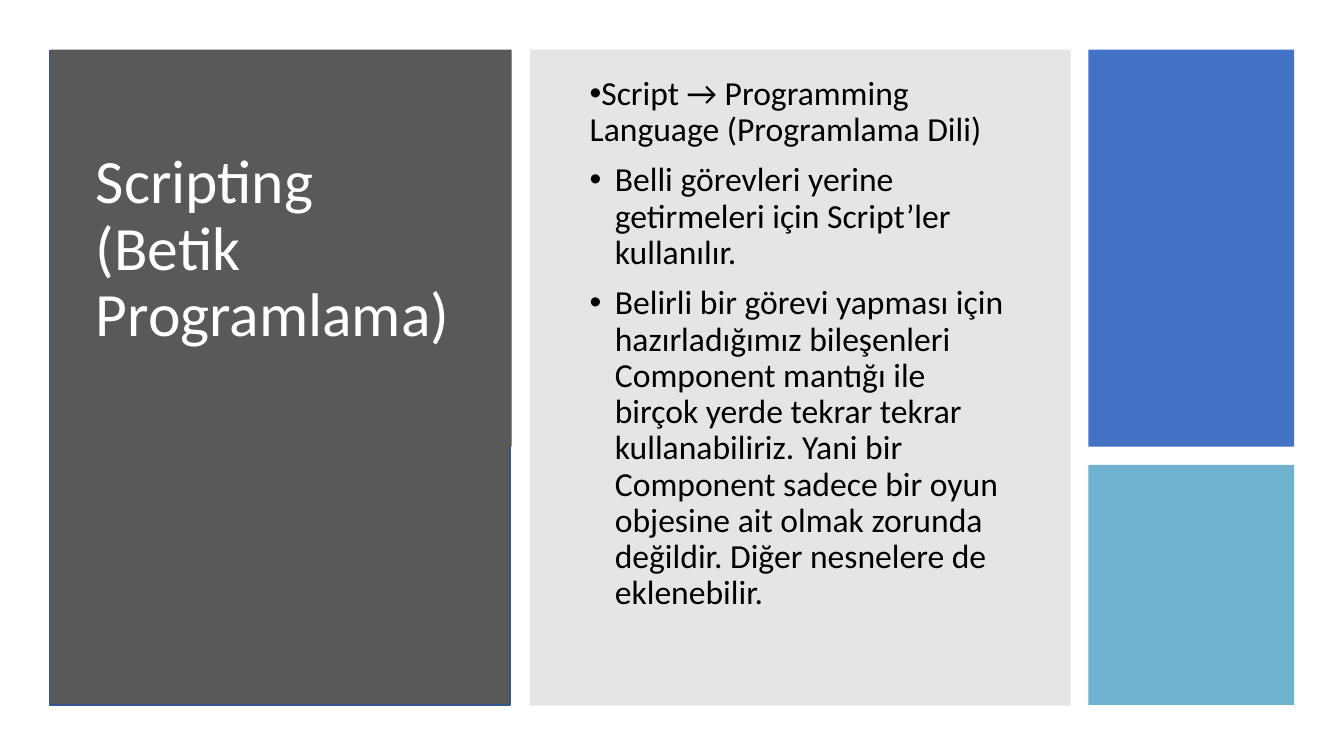
"""Build the Scripting slide: a title panel, a text panel and two colour blocks."""
from lxml.etree import SubElement
from pptx import Presentation
from pptx.dml.color import RGBColor
from pptx.enum.shapes import MSO_SHAPE
from pptx.enum.text import MSO_ANCHOR, MSO_AUTO_SIZE, PP_ALIGN
from pptx.oxml.ns import qn
from pptx.util import Pt

TITLE = "Scripting\v(Betik Programlama)"
BULLETS = [
    ("Script → Programming Language (Programlama Dili)", 0),
    ("Belli görevleri yerine getirmeleri için Script’ler kullanılır.", 18),
    ("Belirli bir görevi yapması için hazırladığımız bileşenleri Component "
     "mantığı ile birçok yerde tekrar tekrar kullanabiliriz. Yani bir Component "
     "sadece bir oyun objesine ait olmak zorunda değildir. Diğer nesnelere de "
     "eklenebilir.", 18),
]
FONT = "Calibri"
TOP, UPPER, GAP, BOTTOM = 35.5, 283.5, 13, 503.5
SIDE_LEFT, SIDE_WIDTH = 777.5, 147
LOWER_TOP = TOP + UPPER + GAP
PANELS = [
    ((35.5, 36, 329, 467.5), "595959", "325491", None),
    ((36.5, TOP, 329, UPPER), "595959", None, None),
    ((378.7, TOP, 386, 468.5), "808080", None, 20),
    ((SIDE_LEFT, TOP, SIDE_WIDTH, UPPER), "4472C4", None, None),
    ((SIDE_LEFT, LOWER_TOP, SIDE_WIDTH, BOTTOM - LOWER_TOP), "6FB2CF", None, None),
]
TITLE_BOX = (61.2, 59.8, 283, 237.6)
BODY_BOX = (414, 71.3, 315.4, 396)


def paint(color_format, color):
    color_format.rgb = RGBColor.from_string(color)


def add_panel(s, box, fill, line, opacity):
    sp = s.shapes.add_shape(MSO_SHAPE.RECTANGLE, *map(Pt, box))
    sp.shadow.inherit = False
    sp.fill.solid()
    paint(sp.fill.fore_color, fill)
    if line:
        paint(sp.line.color, line)
        sp.line.width = Pt(1)
    else:
        sp.line.fill.background()
    if opacity:
        clr = sp.element.spPr.find(".//" + qn("a:srgbClr"))
        SubElement(clr, qn("a:alpha"), val=str(opacity * 1000))


def place(sp, box):
    sp.left, sp.top, sp.width, sp.height = map(Pt, box)
    sp.element.getparent().append(sp.element)
    tf = sp.text_frame
    tf.word_wrap = True
    tf.auto_size = MSO_AUTO_SIZE.NONE
    tf.vertical_anchor = MSO_ANCHOR.MIDDLE
    return tf


def style(p, size, color, space_before):
    p.alignment = PP_ALIGN.LEFT
    p.line_spacing = 0.9
    p.space_before = Pt(space_before)
    for r in p.runs:
        r.font.name = FONT
        r.font.size = Pt(size)
        paint(r.font.color, color)


def add_bullet(p, indent):
    pPr = p._p.get_or_add_pPr()
    pPr.set("marL", str(Pt(indent)))
    pPr.set("indent", str(Pt(-18)))
    SubElement(pPr, qn("a:buFont"), typeface="Arial")
    SubElement(pPr, qn("a:buChar"), char="•")


def main():
    prs = Presentation()
    prs.slide_width, prs.slide_height = Pt(960), Pt(540)
    s = prs.slides.add_slide(prs.slide_layouts[1])
    for panel in PANELS:
        add_panel(s, *panel)

    tf = place(s.shapes.title, TITLE_BOX)
    tf.text = TITLE
    style(tf.paragraphs[0], 44, "FFFFFF", 0)

    tf = place(s.placeholders[1], BODY_BOX)
    tf.margin_bottom = Pt(50.4)
    tf.text = "\n".join(text for text, _ in BULLETS)
    for i, (p, (_, indent)) in enumerate(zip(tf.paragraphs, BULLETS)):
        add_bullet(p, indent)
        style(p, 24, "000000", 10 if i else 0)

    prs.save("out.pptx")


if __name__ == "__main__":
    main()
